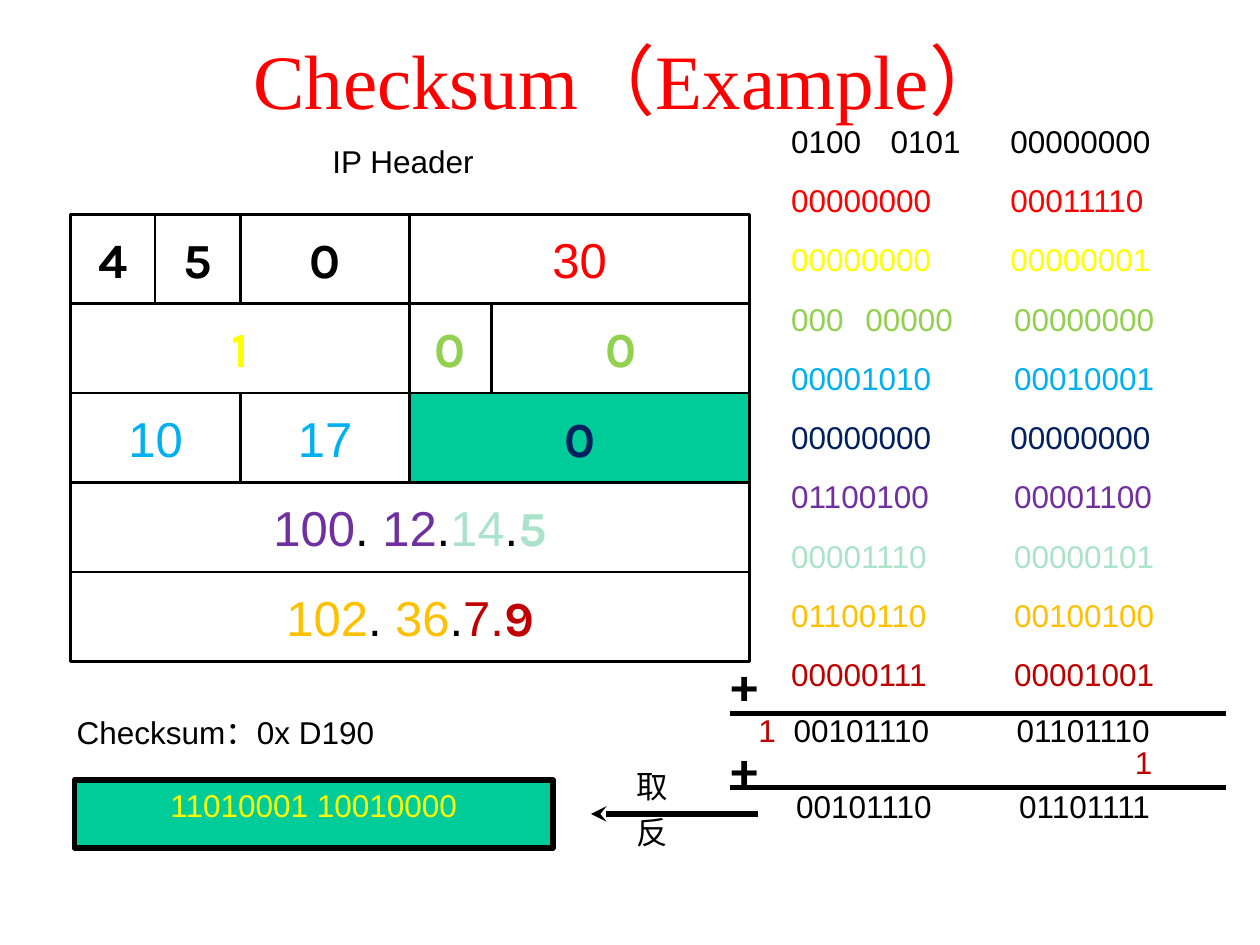
"""Build a slide that works through an IP header checksum."""
from lxml.etree import SubElement
from pptx import Presentation
from pptx.dml.color import RGBColor
from pptx.enum.shapes import MSO_CONNECTOR, MSO_SHAPE
from pptx.enum.text import MSO_ANCHOR, PP_ALIGN
from pptx.oxml.ns import qn
from pptx.util import Inches, Pt

COLORS = {
    "black": "000000", "red": "FF0000", "yellow": "FFFF00", "green": "92D050",
    "blue": "00B0F0", "navy": "002060", "purple": "7030A0", "mint": "AAE2CA",
    "gold": "FFC000", "crimson": "C00000", "teal": "00CC99",
}
BODY, DIGIT = "Arial", "Karla"

HEADER_ROWS = [
    [(0.56, 1.23, [("4", "black", DIGIT)], None),
     (1.23, 1.91, [("5", "black", DIGIT)], None),
     (1.91, 3.25, [("0", "black", DIGIT)], None),
     (3.25, 5.95, [("30", "red", BODY)], None)],
    [(0.56, 3.25, [("1", "yellow", DIGIT)], None),
     (3.25, 3.9, [("0", "green", DIGIT)], None),
     (3.9, 5.95, [("0", "green", DIGIT)], None)],
    [(0.56, 1.91, [("10", "blue", BODY)], None),
     (1.91, 3.25, [("17", "blue", BODY)], None),
     (3.25, 5.95, [("0", "navy", DIGIT)], "teal")],
    [(0.56, 5.95, [("100", "purple", BODY), (". ", "black", BODY),
                   ("12", "purple", BODY), (".", "black", BODY),
                   ("14", "mint", BODY), (".", "black", BODY),
                   ("5", "mint", DIGIT)], None)],
    [(0.56, 5.95, [("102", "gold", BODY), (". ", "black", BODY),
                   ("36", "gold", BODY), (".", "black", BODY),
                   ("7.", "crimson", BODY), ("9", "crimson", DIGIT)], None)],
]
HEADER_TOP, HEADER_ROW = 1.7, 0.71

ADDENDS = [
    ("black", [(6.18, "0100"), (6.97, "0101"), (7.92, "00000000")]),
    ("red", [(6.18, "00000000"), (7.92, "00011110")]),
    ("yellow", [(6.18, "00000000"), (7.92, "00000001")]),
    ("green", [(6.18, "000"), (6.77, "00000"), (7.95, "00000000")]),
    ("blue", [(6.18, "00001010"), (7.95, "00010001")]),
    ("navy", [(6.18, "00000000"), (7.92, "00000000")]),
    ("purple", [(6.18, "01100100"), (7.95, "00001100")]),
    ("mint", [(6.18, "00001110"), (7.95, "00000101")]),
    ("gold", [(6.18, "01100110"), (7.95, "00100100")]),
    ("crimson", [(6.18, "00000111"), (7.95, "00001001")]),
]
ADDENDS_TOP, ADDENDS_PITCH = 0.92, 0.47

SUMS = [
    (5.92, 5.59, "1", "crimson"),
    (6.2, 5.59, "00101110", "black"),
    (7.97, 5.59, "01101110", "black"),
    (8.91, 5.85, "1", "crimson"),
    (6.22, 6.2, "00101110", "black"),
    (7.99, 6.2, "01101111", "black"),
]
LABELS = [
    (2.54, 1.08, 1.98, ["IP Header"]),
    (0.51, 5.61, 3.27, ["Checksum：0x D190"]),
    (4.95, 6.04, 0.53, ["取", "反"]),
]
PLUS_SIGNS = [(5.71, 5.13), (5.71, 5.8)]
SUM_LINES = [5.66, 6.25]


def rgb(color):
    return RGBColor.from_string(COLORS[color])


def add_run(paragraph, text, color, font=BODY, size=18):
    run = paragraph.add_run()
    run.text = text
    run.font.name = font
    run.font.size = Pt(size)
    run.font.bold = font == DIGIT
    run.font.color.rgb = rgb(color)


def add_text(slide, left, top, width, height, lines, color,
             font=BODY, size=18, wrap=False):
    frame = slide.shapes.add_textbox(
        Inches(left), Inches(top), Inches(width), Inches(height)).text_frame
    frame.word_wrap = wrap
    for index, line in enumerate(lines):
        paragraph = frame.add_paragraph() if index else frame.paragraphs[0]
        if index:
            paragraph.space_before = Pt(4.5)
        add_run(paragraph, line, color, font, size)
    return frame


def add_field(slide, left, top, width, height, runs, fill, size=28, border=1.5):
    field = slide.shapes.add_shape(
        MSO_SHAPE.RECTANGLE, Inches(left), Inches(top), Inches(width), Inches(height))
    field.shadow.inherit = False
    if fill:
        field.fill.solid()
        field.fill.fore_color.rgb = rgb(fill)
    else:
        field.fill.background()
    field.line.color.rgb = rgb("black")
    field.line.width = Pt(border)
    frame = field.text_frame
    frame.word_wrap = False
    frame.vertical_anchor = MSO_ANCHOR.MIDDLE
    frame.paragraphs[0].alignment = PP_ALIGN.CENTER
    for text, color, font in runs:
        add_run(frame.paragraphs[0], text, color, font, size)
    return frame


def add_line(slide, start, end, y, arrow=False):
    line = slide.shapes.add_connector(
        MSO_CONNECTOR.STRAIGHT, Inches(start), Inches(y), Inches(end), Inches(y))
    line.line.color.rgb = rgb("black")
    line.line.width = Pt(3)
    if arrow:
        SubElement(line.line._get_or_add_ln(), qn("a:tailEnd"), type="stealth")
    SubElement(line._element.spPr, qn("a:effectLst"))


def main():
    deck = Presentation()
    deck.slide_width, deck.slide_height = Inches(10), Inches(7.5)
    slide = deck.slides.add_slide(deck.slide_layouts[6])

    title = add_text(slide, 0, 0, 10, 1.25, ["Checksum（Example）"], "red",
                     "Times New Roman", 44, wrap=True)
    title.vertical_anchor = MSO_ANCHOR.MIDDLE
    title.paragraphs[0].alignment = PP_ALIGN.CENTER

    for row, fields in enumerate(HEADER_ROWS):
        for left, right, runs, fill in fields:
            add_field(slide, left, HEADER_TOP + row * HEADER_ROW,
                      right - left, HEADER_ROW, runs, fill)

    checksum = add_field(slide, 0.59, 6.19, 3.8, 0.54,
                         [("11010001 10010000", "yellow", BODY)], "teal", 18, 3)
    checksum.vertical_anchor = MSO_ANCHOR.TOP

    for row, (color, groups) in enumerate(ADDENDS):
        for left, bits in groups:
            add_text(slide, left, ADDENDS_TOP + row * ADDENDS_PITCH,
                     0.2 + 0.14 * len(bits), 0.4, [bits], color)

    for left, top, bits, color in SUMS:
        add_text(slide, left, top, 0.2 + 0.14 * len(bits), 0.4, [bits], color)
    for left, top, width, lines in LABELS:
        add_text(slide, left, top, width, 0.4 * len(lines), lines, "black")
    for left, top in PLUS_SIGNS:
        add_text(slide, left, top, 0.43, 0.57, ["+"], "black", DIGIT, 28)
    for y in SUM_LINES:
        add_line(slide, 5.79, 9.73, y)
    add_line(slide, 6.02, 4.69, 6.46, arrow=True)

    deck.save("out.pptx")


if __name__ == "__main__":
    main()
